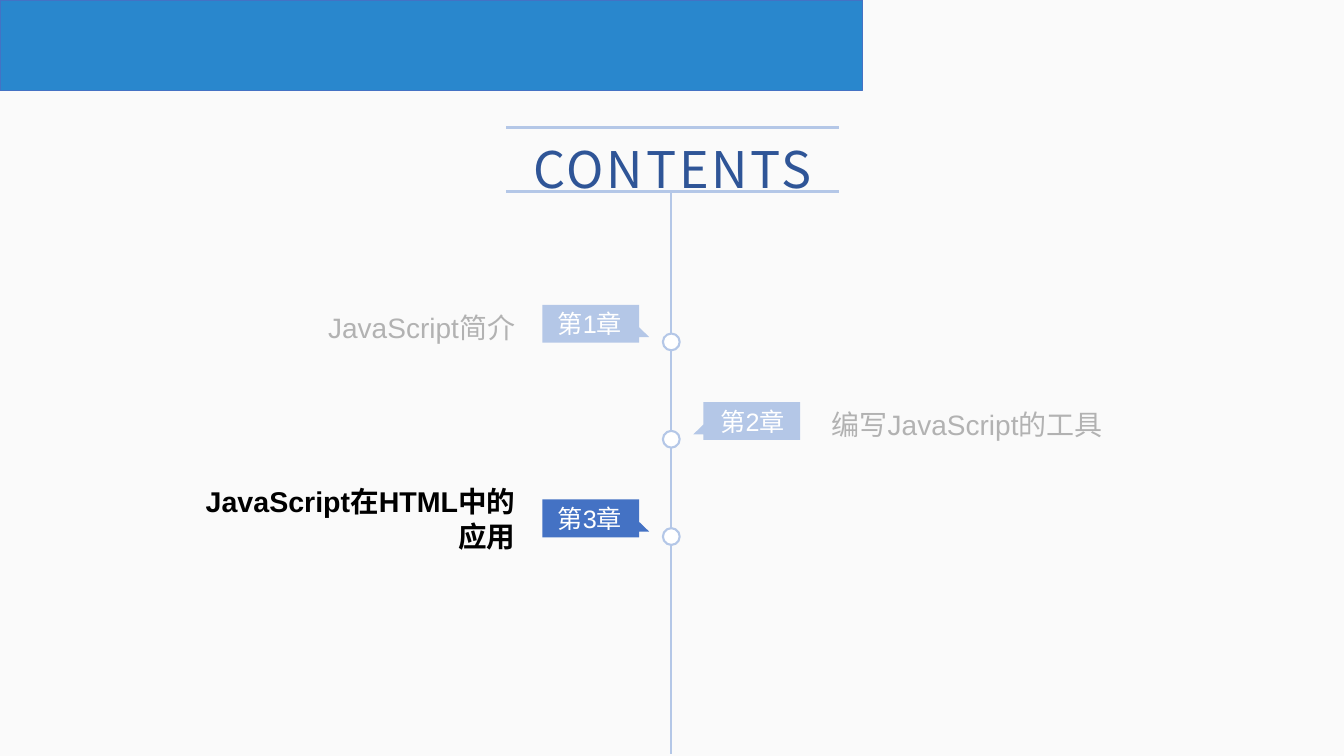
from lxml import etree
from pptx import Presentation
from pptx.dml.color import RGBColor
from pptx.enum.shapes import MSO_CONNECTOR, MSO_SHAPE
from pptx.enum.text import MSO_ANCHOR, MSO_AUTO_SIZE, PP_ALIGN
from pptx.oxml.ns import qn
from pptx.util import Pt

LINE = MSO_CONNECTOR.STRAIGHT
RECT, OVAL = MSO_SHAPE.RECTANGLE, MSO_SHAPE.OVAL
MIDDLE, NO_FIT = MSO_ANCHOR.MIDDLE, MSO_AUTO_SIZE.NONE
LEFT, CENTER, RIGHT = PP_ALIGN.LEFT, PP_ALIGN.CENTER, PP_ALIGN.RIGHT
LATIN, CJK = "Arial", "Noto Sans CJK SC"
HUES = {
    "page": "FAFAFA", "band": "2987CD", "blue": "4472C4", "pale": "B4C7E7",
    "title": "2F5597", "white": "FFFFFF", "grey": "B2B2B2", "black": "000000",
}
ROWS = [
    ("第1章", "JavaScript简介", False),
    ("第2章", "编写JavaScript的工具", False),
    ("第3章", "JavaScript在HTML中的应用", True),
]
AXIS, PITCH = 479.5, 69.5


def hue(name):
    """Return the named colour."""
    return RGBColor.from_string(HUES[name])


def write(shape, text, size=18, color="white", font=LATIN, bold=False,
          align=CENTER, lead=None, track=None, pad=(0, 0)):
    """Put one formatted paragraph into a shape."""
    frame = shape.text_frame
    frame.word_wrap, frame.auto_size = True, NO_FIT
    frame.vertical_anchor = MIDDLE
    frame.margin_left, frame.margin_right = Pt(pad[0]), Pt(pad[1])
    frame.margin_top = frame.margin_bottom = 0
    para = frame.paragraphs[0]
    para.alignment = align
    if lead:
        para.line_spacing = lead
    run = para.add_run()
    run.text = text
    run.font.size, run.font.name, run.font.bold = Pt(size), font, bold
    run.font.color.rgb = hue(color)
    props = run._r.get_or_add_rPr()
    etree.SubElement(props, qn("a:ea")).set("typeface", CJK)
    if track:
        props.set("spc", str(track * 100))


def paint(shape, fill, line=None, width=1):
    """Set the fill and outline of a shape."""
    shape.shadow.inherit = False
    shape.fill.solid()
    shape.fill.fore_color.rgb = hue(fill)
    if line:
        shape.line.color.rgb = hue(line)
        shape.line.width = Pt(width)
    else:
        shape.line.fill.background()


def rule(slide, x1, y1, x2, y2, width):
    """Draw a pale straight line."""
    line = slide.shapes.add_connector(LINE, Pt(x1), Pt(y1), Pt(x2), Pt(y2))
    line.line.color.rgb = hue("pale")
    line.line.width = Pt(width)
    etree.SubElement(line._element.spPr, qn("a:effectLst"))


def head(slide, x, y, w, h):
    """Place the title between two rules."""
    for edge in (y, y + h):
        rule(slide, x, edge, x + w, edge, 2.25)
    title = slide.shapes.title
    title.left, title.top, title.width, title.height = map(Pt, (x, y, w, h))
    write(title, "CONTENTS", size=36, color="title", font=CJK, lead=1.3, track=2)


def flag(slide, y, side, text, fill):
    """Draw a chapter tag whose tail points at the axis."""
    near, tip, far, tall = 23, 15.75, 92, 27
    spots = [(near, 0), (far, 0), (far, tall), (near, tall),
             (near, 23), (tip, 23), (near, 16)]
    spots = [(Pt(AXIS + side * dx), Pt(y + dy)) for dx, dy in spots]
    form = slide.shapes.build_freeform(*spots[0])
    form.add_line_segments(spots[1:], close=True)
    tag = form.convert_to_shape()
    paint(tag, fill)
    write(tag, text, pad=(8.6, 0) if side > 0 else (0, 8.6))


def row(slide, y, side, tag, text, live):
    """Place the dot, tag and label of one chapter."""
    dot = slide.shapes.add_shape(OVAL, Pt(AXIS - 6), Pt(y + 20.5), Pt(12), Pt(12))
    paint(dot, "white", "pale", 1.5)
    flag(slide, y, side, tag, "blue" if live else "pale")
    wide = 228
    left = AXIS + 114.5 if side > 0 else AXIS - 111.5 - wide
    label = slide.shapes.add_textbox(Pt(left), Pt(y - 11.5), Pt(wide), Pt(50.5))
    write(label, text, size=20.4 if live else 20, bold=live,
          color="black" if live else "grey", lead=None if live else 1.2,
          align=LEFT if side > 0 else RIGHT)


def main():
    """Build and save the contents slide."""
    deck = Presentation()
    deck.slide_width, deck.slide_height = Pt(960), Pt(540)
    slide = deck.slides.add_slide(deck.slide_layouts[5])
    slide.background.fill.solid()
    slide.background.fill.fore_color.rgb = hue("page")
    band = slide.shapes.add_shape(RECT, 0, 0, Pt(616), Pt(64.5))
    paint(band, "band", "blue")
    rule(slide, AXIS, 137.5, AXIS, 538.5, 1.5)
    head(slide, 361.5, 91, 238, 45.5)
    for i, (tag, text, live) in enumerate(ROWS):
        row(slide, 217.75 + i * PITCH, 1 if i % 2 else -1, tag, text, live)
    deck.save("out.pptx")


if __name__ == "__main__":
    main()
